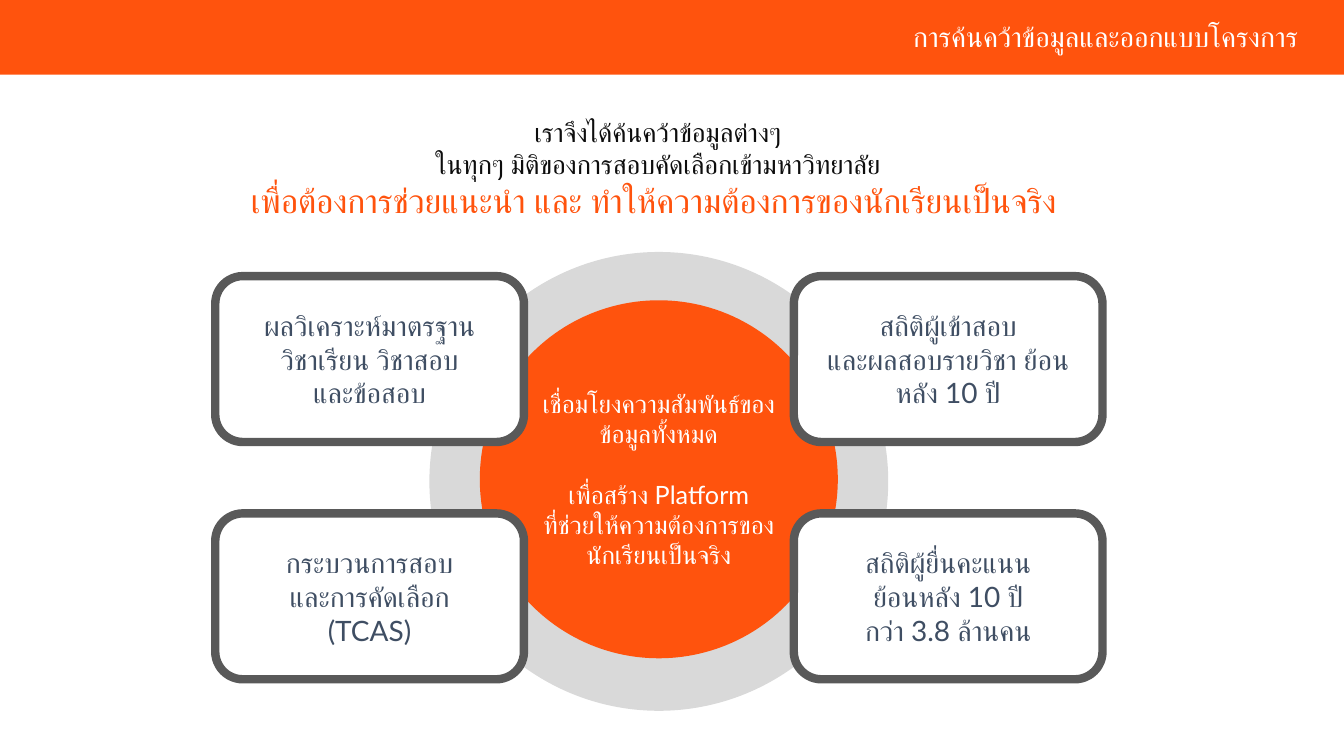
from pptx import Presentation
from pptx import util as u
from pptx.dml.color import RGBColor
from pptx.enum import shapes, text

PX = 9525
ORANGE = RGBColor(0xFF, 0x53, 0x0D)
WHITE = RGBColor(0xFF, 0xFF, 0xFF)
RING_GREY = RGBColor(0xD9, 0xD9, 0xD9)
BORDER_GREY = RGBColor(0x59, 0x59, 0x59)
SLATE = RGBColor(0x3F, 0x4E, 0x63)
INK = RGBColor(0x0D, 0x0D, 0x0D)


class Deck:
    font = "Lato"

    def __init__(self, width, height):
        self.prs = Presentation()
        self.prs.slide_width, self.prs.slide_height = width * PX, height * PX
        self.slide = self.prs.slides.add_slide(self.prs.slide_layouts[5])

    def set_lines(self, frame, lines, size, color, align=text.PP_ALIGN.CENTER):
        frame.word_wrap = True
        for i, line in enumerate(lines):
            paragraph = frame.paragraphs[0] if i == 0 else frame.add_paragraph()
            paragraph.text = line
            paragraph.alignment = align
            paragraph.font.name = self.font
            paragraph.font.size = u.Pt(size)
            paragraph.font.color.rgb = color
        return frame.paragraphs

    def shape(self, kind, x, y, w, h, fill, border=None):
        shape = self.slide.shapes.add_shape(kind, x * PX, y * PX, w * PX, h * PX)
        shape.shadow.inherit = False
        shape.fill.solid()
        shape.fill.fore_color.rgb = fill
        if border is None:
            shape.line.fill.background()
        else:
            shape.line.color.rgb = border
            shape.line.width = u.Pt(6)
        return shape

    def circle(self, x, y, diameter, fill):
        return self.shape(shapes.MSO_SHAPE.OVAL, x, y, diameter, diameter, fill)

    def card(self, x, y, w, h, lines):
        card = self.shape(shapes.MSO_SHAPE.ROUNDED_RECTANGLE, x, y, w, h, WHITE, BORDER_GREY)
        card.text_frame.vertical_anchor = text.MSO_ANCHOR.MIDDLE
        self.set_lines(card.text_frame, lines, 20, SLATE)

    def header(self, x, y, w, h, band_height, line):
        title = self.slide.shapes.title
        title.left, title.top, title.width, title.height = (v * PX for v in (x, y, w, h))
        frame = title.text_frame
        frame.auto_size = text.MSO_AUTO_SIZE.SHAPE_TO_FIT_TEXT
        frame.vertical_anchor = text.MSO_ANCHOR.TOP
        self.set_lines(frame, [line], 20, WHITE, text.PP_ALIGN.RIGHT)
        band = self.shape(shapes.MSO_SHAPE.RECTANGLE, 0, 0, 1280, band_height, ORANGE)
        title.element.addprevious(band.element)

    def text_box(self, x, y, w, h, lines, size, color):
        box = self.slide.shapes.add_textbox(x * PX, y * PX, w * PX, h * PX)
        box.text_frame.auto_size = text.MSO_AUTO_SIZE.SHAPE_TO_FIT_TEXT
        return self.set_lines(box.text_frame, lines, size, color)


def main():
    deck = Deck(1280, 720)
    deck.header(627, 14, 619, 42, 71, "การค้นคว้าข้อมูลและออกแบบโครงการ")

    deck.circle(409, 240, 437, RING_GREY)
    hub = deck.circle(457, 286, 341, ORANGE)
    hub.text_frame.vertical_anchor = text.MSO_ANCHOR.MIDDLE
    hub_lines = deck.set_lines(hub.text_frame, [
        "เชื่อมโยงความสัมพันธ์ของข้อมูลทั้งหมด",
        "เพื่อสร้าง Platform",
        "ที่ช่วยให้ความต้องการของนักเรียนเป็นจริง",
    ], 18, WHITE)
    hub_lines[1].space_before = u.Pt(21.6)

    intro = deck.text_box(166, 106, 921, 109, [
        "เราจึงได้ค้นคว้าข้อมูลต่างๆ",
        "ในทุกๆ มิติของการสอบคัดเลือกเข้ามหาวิทยาลัย",
        "เพื่อต้องการช่วยแนะนำ และ ทำให้ความต้องการของนักเรียนเป็นจริง ",
    ], 19, INK)
    intro[2].font.size = u.Pt(24)
    intro[2].font.color.rgb = ORANGE

    topics = [
        [["ผลวิเคราะห์มาตรฐาน", "วิชาเรียน วิชาสอบ", "และข้อสอบ"],
         ["สถิติผู้เข้าสอบ", "และผลสอบรายวิชา ย้อนหลัง 10 ปี"]],
        [["กระบวนการสอบ", "และการคัดเลือก", "(TCAS)"],
         ["สถิติผู้ยื่นคะแนน", "ย้อนหลัง 10 ปี", "กว่า 3.8 ล้านคน"]],
    ]
    for row, pair in enumerate(topics):
        for column, lines in enumerate(pair):
            deck.card(205 + 551 * column, 263 + 226 * row, 294, 158, lines)

    deck.prs.save("out.pptx")


if __name__ == "__main__":
    main()
